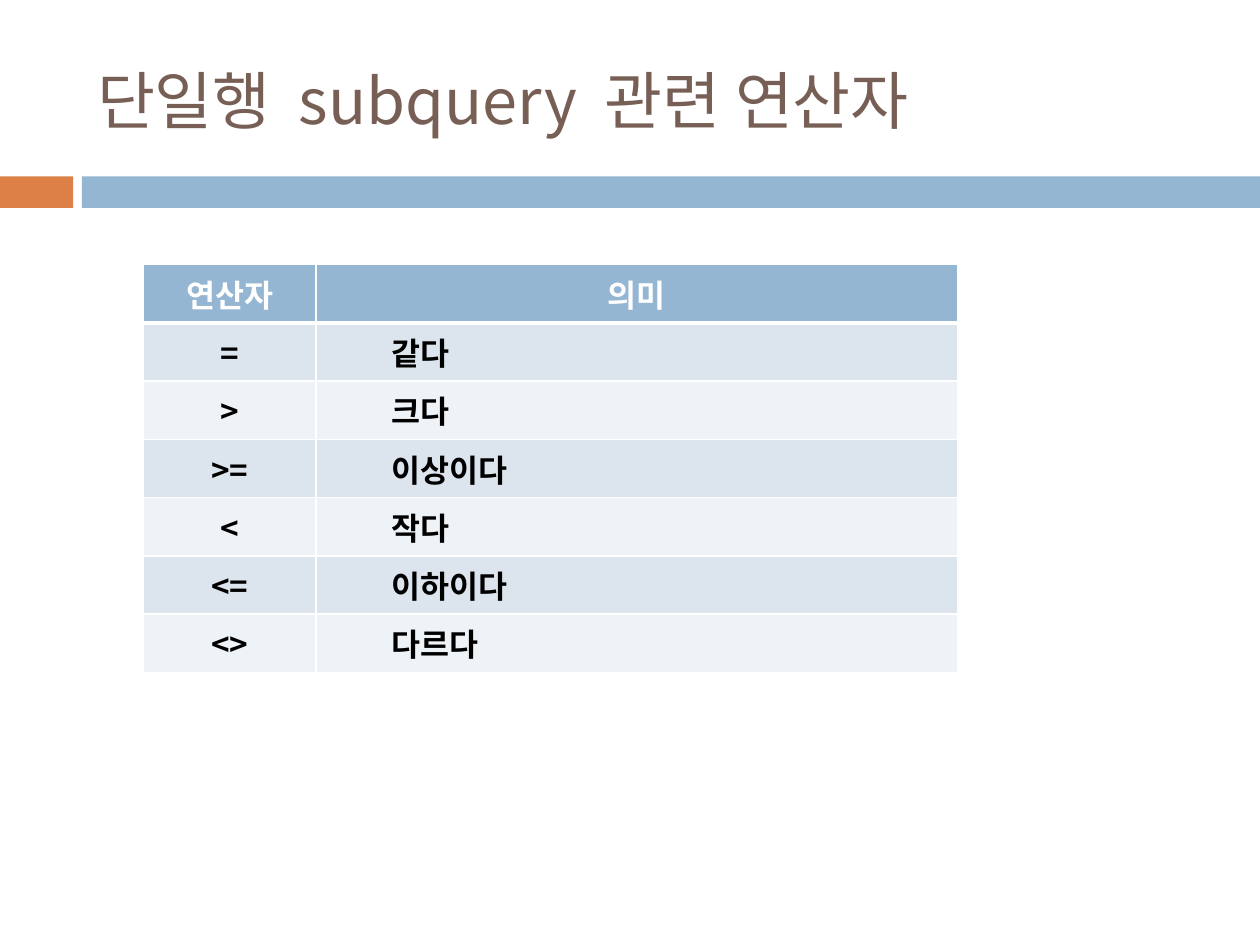
from pptx import Presentation
from pptx import util as u
from pptx.dml.color import RGBColor
from pptx.enum import shapes, text
from pptx.oxml import parse_xml
from pptx.oxml.ns import nsdecls

FONT = "Noto Sans CJK KR"
COLORS = {
    "orange": "DD8047", "blue": "94B6D2", "brown": "775F55",
    "white": "FFFFFF", "black": "000000", "odd": "DCE5EE", "even": "EEF3F7",
}
OPERATORS = [
    ("연산자", "의미"), ("=", "같다"), (">", "크다"), (">=", "이상이다"),
    ("<", "작다"), ("<=", "이하이다"), ("<>", "다르다"),
]


def color(name):
    """Return the named palette colour."""
    return RGBColor.from_string(COLORS[name])


def style_run(run, size, ink, bold=False):
    """Apply the Latin and East Asian font, size and colour to a run."""
    run.font.name = FONT
    run.font.size = u.Pt(size)
    run.font.bold = bold
    run.font.color.rgb = color(ink)
    latin = run.font._element.find("{*}latin")
    latin.addnext(parse_xml(f'<a:ea {nsdecls("a")} typeface="{FONT}"/>'))


def place_title(slide, left, top, width, height):
    """Fill the title placeholder, widening the gaps around the Latin word."""
    title = slide.shapes.title
    title.left, title.top, title.width, title.height = left, top, width, height
    frame = title.text_frame
    frame.word_wrap = True
    frame.vertical_anchor = text.MSO_ANCHOR.MIDDLE
    heading = frame.paragraphs[0]
    heading.alignment = text.PP_ALIGN.LEFT
    for part in ("단일행", " ", "subquery", " ", "관련 연산자"):
        run = heading.add_run()
        run.text = part
        style_run(run, 36, "brown")
        if part == " ":
            run.font._element.set("spc", "800")


def place_band(slide, left, top, width, height):
    """Draw the orange and blue bars under the title."""
    accent, gap = u.Inches(0.58), u.Inches(0.07)
    start = accent + gap
    for offset, length, fill in ((0, accent, "orange"), (start, width - start, "blue")):
        bar = slide.shapes.add_shape(
            shapes.MSO_SHAPE.RECTANGLE, left + offset, top, length, height)
        bar.shadow.inherit = False
        bar.fill.solid()
        bar.fill.fore_color.rgb = color(fill)
        bar.line.fill.background()


def set_borders(cell, bottom):
    """Give a cell white borders, with its own bottom width in points."""
    properties = cell._tc.get_or_add_tcPr()
    for index, (side, width) in enumerate(zip("LRTB", (1, 1, 1, bottom))):
        properties.insert(index, parse_xml(
            f'<a:ln{side} {nsdecls("a")} w="{u.Pt(width)}"><a:solidFill>'
            f'<a:srgbClr val="{COLORS["white"]}"/></a:solidFill></a:ln{side}>'))


def place_operators(slide, left, top, width, height):
    """Build the table of operators and their meanings."""
    table = slide.shapes.add_table(
        len(OPERATORS), 2, left, top, width, height).table
    table.columns[0].width = u.Inches(1.37)
    table.columns[1].width = width - u.Inches(1.37)
    for row, entries in enumerate(OPERATORS):
        header = row == 0
        fill = "blue" if header else ("even", "odd")[row % 2]
        for column, entry in enumerate(entries):
            cell = table.cell(row, column)
            cell.text_frame.text = entry
            cell.fill.solid()
            cell.fill.fore_color.rgb = color(fill)
            set_borders(cell, 3 if header else 1)
            paragraph = cell.text_frame.paragraphs[0]
            if header or column == 0:
                paragraph.alignment = text.PP_ALIGN.CENTER
            else:
                paragraph.level = 1
                paragraph._p.get_or_add_pPr().set("marL", str(u.Inches(0.5)))
            style_run(paragraph.runs[0], 18, "white" if header else "black", True)


def main():
    """Create and save the slide."""
    deck = Presentation()
    deck.slide_width, deck.slide_height = u.Inches(10), u.Inches(7.5)
    slide = deck.slides.add_slide(deck.slide_layouts[5])
    place_band(slide, 0, u.Inches(1.4), deck.slide_width, u.Inches(0.25))
    place_title(slide, u.Inches(0.67), u.Inches(0.25), u.Inches(8.92), u.Inches(1.08))
    place_operators(slide, u.Inches(1.14), u.Inches(2.1), u.Inches(6.46), u.Inches(2.87))
    deck.save("out.pptx")


if __name__ == "__main__":
    main()
